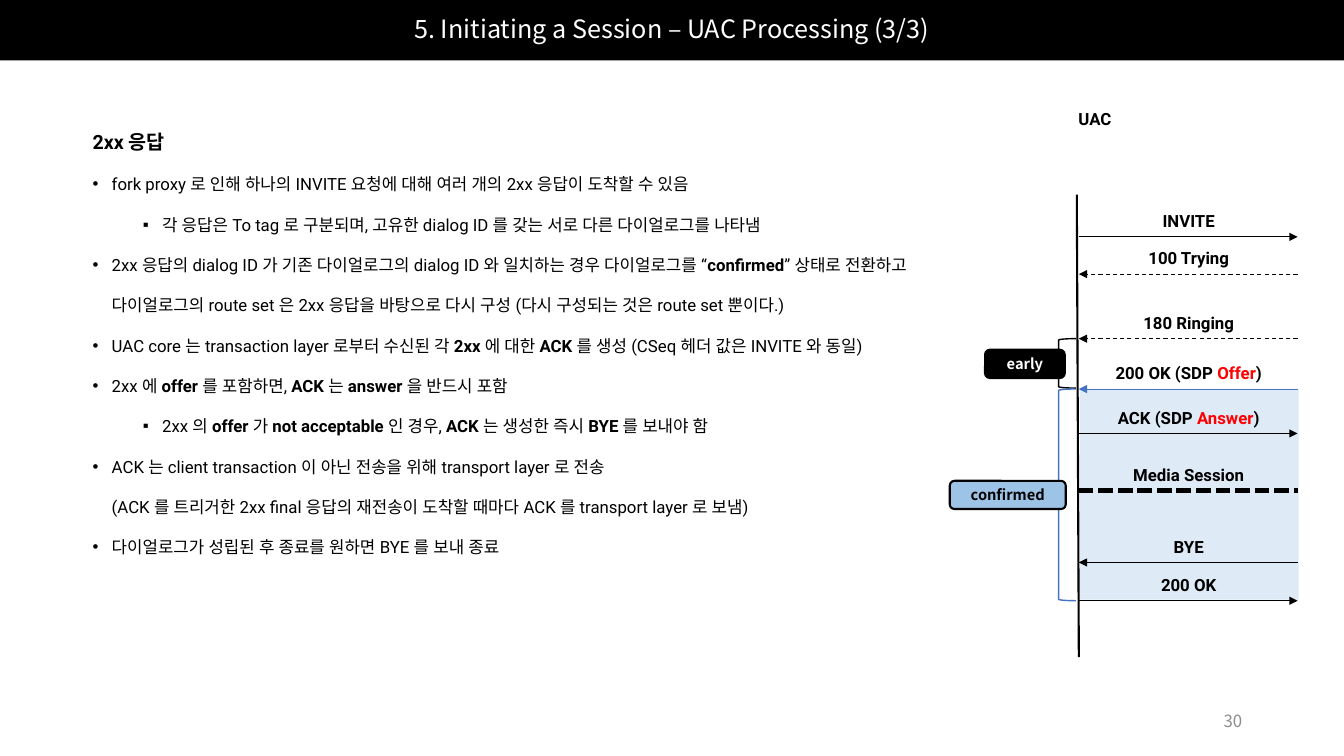
from lxml.etree import SubElement
from pptx import Presentation
from pptx.dml.color import RGBColor
from pptx.enum.dml import MSO_LINE
from pptx.enum.shapes import MSO_CONNECTOR, MSO_SHAPE
from pptx.enum.text import MSO_ANCHOR, MSO_AUTO_SIZE, PP_ALIGN
from pptx.oxml.ns import qn
from pptx.util import Inches, Pt

COLORS = {
    "black": "000000", "white": "FFFFFF", "gray": "8C8C8C", "red": "FF0000",
    "blue": "4472C4", "sky": "9DC3E6", "pale": "DEEBF7",
}
SANS, ROBOTO = "Noto Sans CJK KR", "Roboto"
LABEL = {"name": ROBOTO, "size": Pt(12), "bold": True, "color": "black"}
STATE = {"name": SANS, "size": Pt(10.5), "bold": True}
BODY = {"name": ROBOTO, "size": Pt(12), "bold": False, "color": "black"}

# Asterisks enclose the emphasised words
HEADING = "2xx 응답"
POINTS = [
    (0, "fork proxy 로 인해 하나의 INVITE 요청에 대해 여러 개의 2xx 응답이 도착할 수 있음"),
    (1, "각 응답은 To tag 로 구분되며, 고유한 dialog ID 를 갖는 서로 다른 다이얼로그를 나타냄"),
    (0, "2xx 응답의 dialog ID 가 기존 다이얼로그의 dialog ID 와 일치하는 경우 다이얼로그를 “*confirmed*” 상태로 전환하고 \n"
        "다이얼로그의 route set 은 2xx 응답을 바탕으로 다시 구성 (다시 구성되는 것은 route set 뿐이다.)"),
    (0, "UAC core 는 transaction layer 로부터 수신된 각 *2xx* 에 대한 *ACK *를 생성 (CSeq 헤더 값은 INVITE 와 동일)"),
    (0, "2xx 에 *offer *를 포함하면, *ACK *는 *answer *을 반드시 포함"),
    (1, "2xx 의 *offer *가 *not acceptable* 인 경우, *ACK *는 생성한 즉시 *BYE *를 보내야 함"),
    (0, "ACK 는 client transaction 이 아닌 전송을 위해 transport layer 로 전송 \n"
        "(ACK 를 트리거한 2xx final 응답의 재전송이 도착할 때마다 ACK 를 transport layer 로 보냄)"),
    (0, "다이얼로그가 성립된 후 종료를 원하면 BYE 를 보내 종료"),
]
BULLETS = ("•", "▪")

# Sequence diagram: label, height of the line, label width, direction, line format
UAC_X, PEER_X, LABEL_X = 10.7, 12.87, 11.79
MESSAGES = [
    ("INVITE", 2.35, 0.76, "out", {}),
    ("100 Trying", 2.72, 1.08, "in", {"dash": MSO_LINE.DASH}),
    ("180 Ringing", 3.36, 1.32, "in", {"dash": MSO_LINE.DASH}),
    ("200 OK (SDP *Offer*)", 3.86, 1.73, "in", {"color": "blue"}),
    ("ACK (SDP *Answer*)", 4.3, 1.73, "out", {}),
    ("Media Session", 4.87, 1.4, "both", {"width": 3.5, "dash": MSO_LINE.SQUARE_DOT}),
    ("BYE", 5.58, 1.08, "in", {}),
    ("200 OK", 5.96, 0.76, "out", {}),
]


def rgb(color):
    return RGBColor.from_string(COLORS[color])


def add_run(paragraph, text, style):
    run = paragraph.add_run()
    run.text = text
    for attribute, value in style.items():
        if attribute == "color":
            run.font.color.rgb = rgb(value)
        else:
            setattr(run.font, attribute, value)
    SubElement(run.font._element, qn("a:ea"), typeface=style["name"])


def write(paragraph, text, style, emphasis=None):
    for part_no, part in enumerate(text.split("*")):
        part_style = {**style, **(emphasis or {})} if part_no % 2 else style
        for line_no, line in enumerate(part.split("\n")):
            if line_no:
                paragraph.add_line_break()
            if line:
                add_run(paragraph, line, part_style)


def add_box(shapes, kind, area, fill=None, line=None, width=1.5):
    box = shapes.add_shape(kind, *map(Inches, area))
    box.shadow.inherit = False
    if fill:
        box.fill.solid()
        box.fill.fore_color.rgb = rgb(fill)
    else:
        box.fill.background()
    if line:
        box.line.color.rgb = rgb(line)
        box.line.width = Pt(width)
    else:
        box.line.fill.background()
    return box


def write_centered(box, text, style):
    box.text_frame.vertical_anchor = MSO_ANCHOR.MIDDLE
    paragraph = box.text_frame.paragraphs[0]
    paragraph.alignment = PP_ALIGN.CENTER
    write(paragraph, text, style)
    return paragraph


def add_line(shapes, start, end, color="black", width=0.75, dash=None, arrow=False):
    line = shapes.add_connector(MSO_CONNECTOR.STRAIGHT, *map(Inches, start + end))
    line.line.color.rgb = rgb(color)
    line.line.width = Pt(width)
    if dash:
        line.line.dash_style = dash
    if arrow:
        SubElement(line.line._get_or_add_ln(), qn("a:tailEnd"), type="triangle")
    SubElement(line._element.spPr, qn("a:effectLst"))


def add_label(shapes, text, center, top, width):
    label = shapes.add_textbox(*map(Inches, (center - width / 2, top, width, 0.3)))
    frame = label.text_frame
    settings = {"word_wrap": False, "auto_size": MSO_AUTO_SIZE.SHAPE_TO_FIT_TEXT,
                "vertical_anchor": MSO_ANCHOR.BOTTOM}
    for attribute, value in settings.items():
        setattr(frame, attribute, value)
    frame.paragraphs[0].alignment = PP_ALIGN.CENTER
    write(frame.paragraphs[0], text, LABEL, {"color": "red"})


def add_message(shapes, text, y, width, direction, line_format):
    ends = [(UAC_X, y), (PEER_X, y)]
    if direction == "in":
        ends.reverse()
    add_line(shapes, *ends, arrow=direction != "both", **line_format)
    add_label(shapes, text, LABEL_X, y - 0.31, width)


def add_state(shapes, text, area, fill, text_color, span, bracket_color):
    top, bottom = span
    add_box(shapes, MSO_SHAPE.LEFT_BRACKET, (10.5, top, 0.17, bottom - top),
            line=bracket_color, width=1)
    tag = add_box(shapes, MSO_SHAPE.ROUNDED_RECTANGLE, area, fill, "black")
    write_centered(tag, text, {**STATE, "color": text_color})


def add_point(frame, level, text):
    point = frame.add_paragraph()
    point.level = level
    point.line_spacing = 2.0
    properties = point._p.get_or_add_pPr()
    properties.set("marL", str(Inches(0.19 + 0.5 * level)))
    properties.set("indent", str(Inches(-0.19)))
    SubElement(properties, qn("a:buFont"), typeface="Arial")
    SubElement(properties, qn("a:buChar"), char=BULLETS[level])
    write(point, text, BODY, {"bold": True})


def add_body(shapes):
    frame = shapes.add_textbox(*map(Inches, (0.82, 1.01, 8.87, 4.55))).text_frame
    frame.word_wrap = True
    frame.auto_size = MSO_AUTO_SIZE.SHAPE_TO_FIT_TEXT
    heading = frame.paragraphs[0]
    heading.line_spacing = 2.0
    write(heading, HEADING, {**BODY, "size": Pt(14), "bold": True})
    for level, text in POINTS:
        add_point(frame, level, text)


def add_sequence(shapes):
    # Confirmed period and UAC lifeline
    add_box(shapes, MSO_SHAPE.RECTANGLE, (10.71, 3.86, 2.17, 2.09), "pale")
    add_line(shapes, (10.68, 1.93), (10.7, 6.52), width=1.5)
    add_label(shapes, "UAC", 10.86, 1.03, 0.76)
    for message in MESSAGES:
        add_message(shapes, *message)
    # Dialog states
    add_state(shapes, "early", (9.77, 3.47, 0.79, 0.28), "black", "white",
              (3.36, 3.85), "black")
    add_state(shapes, "confirmed", (9.42, 4.77, 1.15, 0.28), "sky", "black",
              (3.86, 5.96), "blue")


def main():
    deck = Presentation()
    deck.slide_width, deck.slide_height = Inches(13.33), Inches(7.5)
    shapes = deck.slides.add_slide(deck.slide_layouts[6]).shapes

    # Title bar
    title_bar = add_box(shapes, MSO_SHAPE.RECTANGLE, (0, 0, 13.33, 0.6), "black")
    title = write_centered(title_bar, "5. Initiating a Session – UAC Processing (3/3)",
                           {"name": SANS, "size": Pt(18), "color": "white"})
    title.line_spacing = 0.9

    # Page number
    page_number = shapes.add_textbox(*map(Inches, (9.42, 6.95, 3, 0.4)))
    page_number.text_frame.word_wrap = True
    number = write_centered(page_number, "30",
                            {"name": SANS, "size": Pt(12), "color": "gray"})
    number.alignment = PP_ALIGN.RIGHT

    add_body(shapes)
    add_sequence(shapes.add_group_shape().shapes)
    deck.save("out.pptx")


if __name__ == "__main__":
    main()
